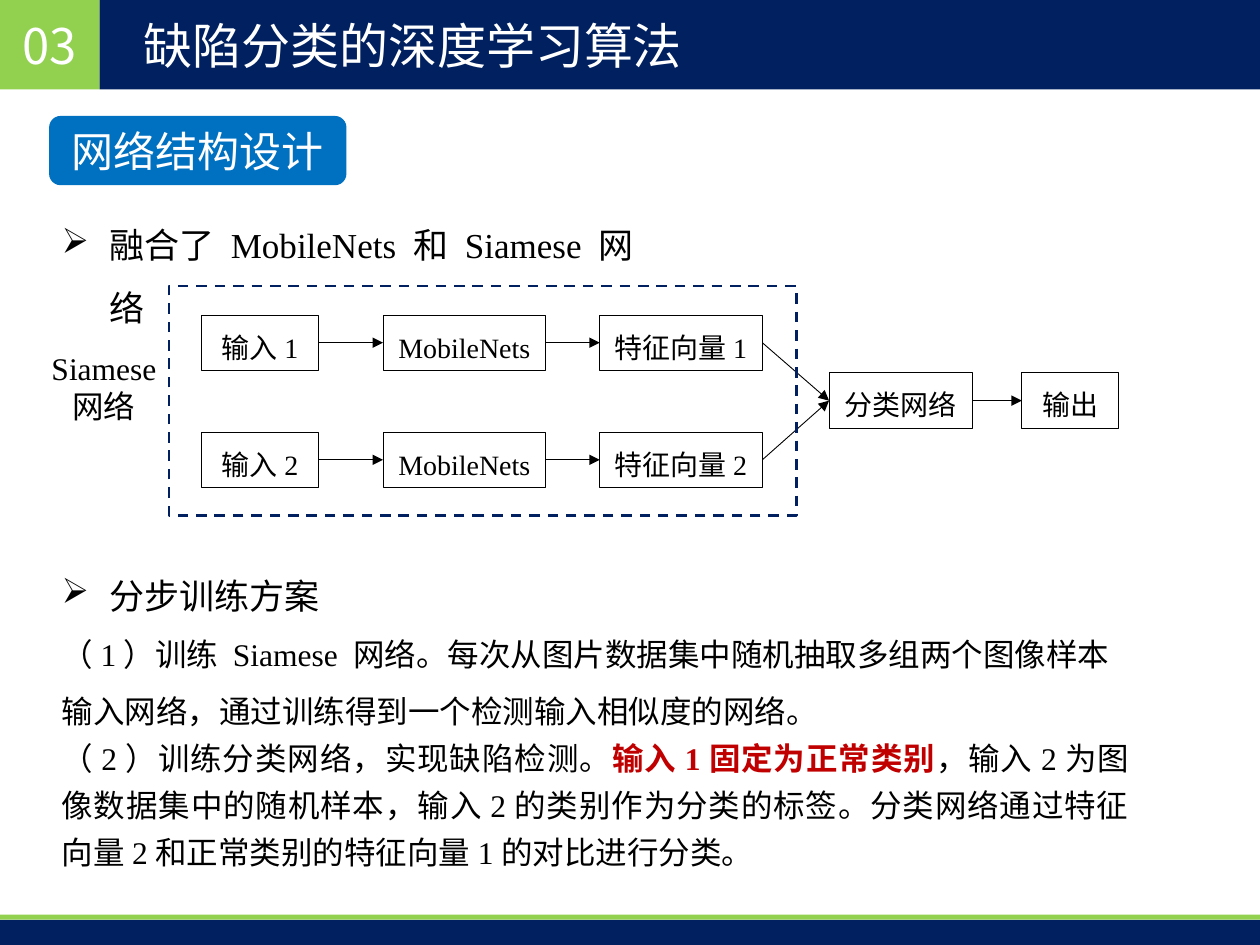
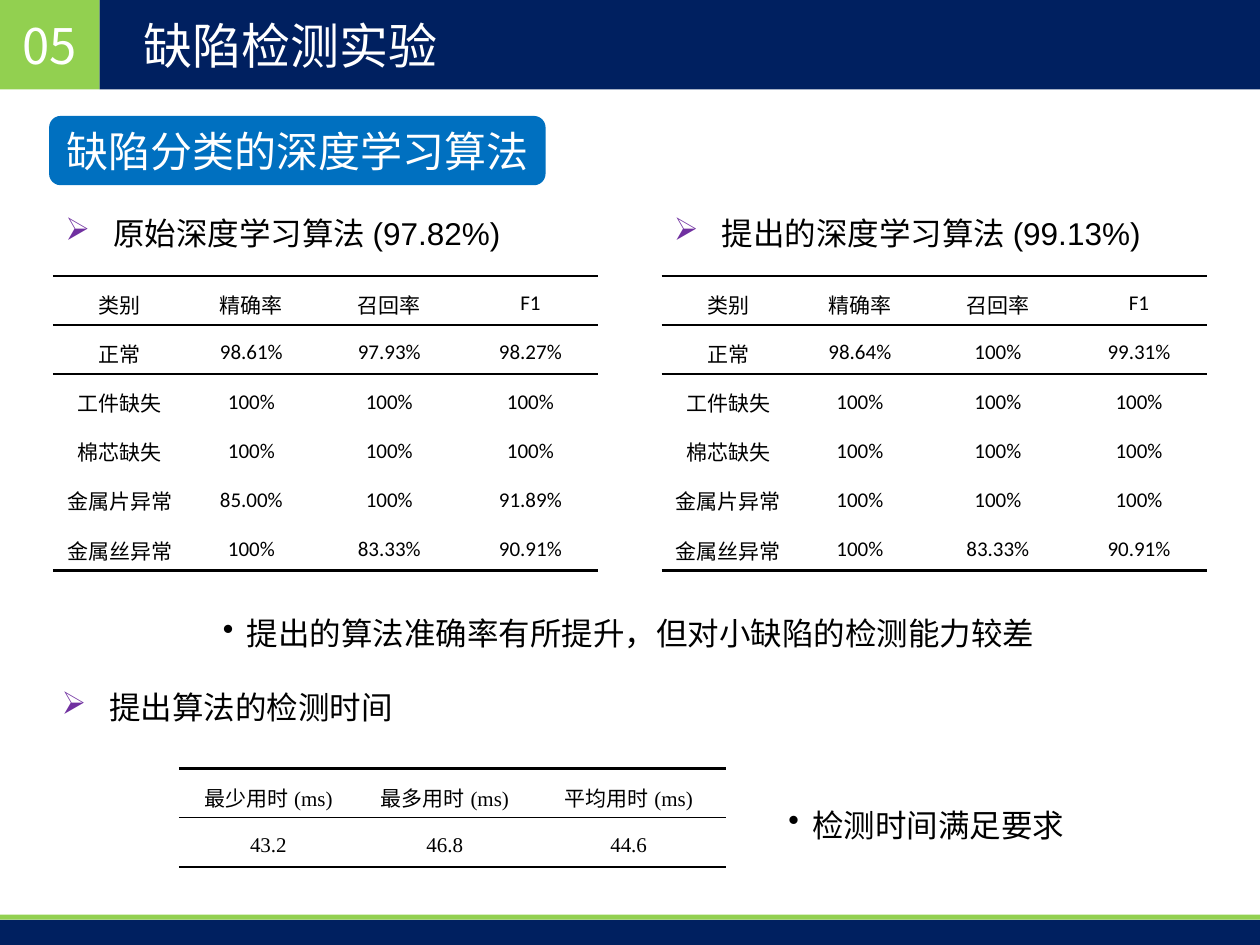
"""Build two slides on deep learning algorithms for defect classification."""
import collections

import lxml.etree
import pptx
import pptx.dml.color
import pptx.enum.dml
import pptx.enum.shapes
import pptx.enum.text
import pptx.oxml.ns
import pptx.util

Inches, Pt, qn = pptx.util.Inches, pptx.util.Pt, pptx.oxml.ns.qn
ALIGN = pptx.enum.text.PP_ALIGN
MIDDLE = pptx.enum.text.MSO_ANCHOR.MIDDLE
SHAPE = pptx.enum.shapes.MSO_SHAPE

COLORS = {
    "navy": "002060",
    "green": "92D050",
    "blue": "0070C0",
    "purple": "7030A0",
    "red": "C00000",
    "black": "000000",
    "white": "FFFFFF",
}
SANS, SERIF, ARIAL, CALIBRI = "Noto Sans CJK SC", "Times New Roman", "Arial", "Calibri"
LEFT_SITE, RIGHT_SITE = 1, 3

Box = collections.namedtuple("Box", "left top width height")

CATEGORIES = ["正常", "工件缺失", "棉芯缺失", "金属片异常", "金属丝异常"]
RESULT_HEAD = ["类别", "精确率", "召回率", "F1"]
RESULT_WIDTHS = [1.06, 1.03, 1.16, 1.08]
RESULT_RULES = {0: 1.5, 1: 1, 2: 1, 6: 1.5}
PERFECT = ["100%"] * 3
WEAK_WIRE = ["100%", "83.33%", "90.91%"]
RESULTS = [
    (0.42, "原始深度学习算法(97.82%)",
     [["98.61%", "97.93%", "98.27%"], PERFECT, PERFECT,
      ["85.00%", "100%", "91.89%"], WEAK_WIRE]),
    (5.25, "提出的深度学习算法(99.13%)",
     [["98.64%", "100%", "99.31%"], PERFECT, PERFECT, PERFECT, WEAK_WIRE]),
]
TIMES = [["最少用时(ms)", "最多用时(ms)", "平均用时(ms)"], ["43.2", "46.8", "44.6"]]


def rgb(name):
    """Return the named colour."""
    return pptx.dml.color.RGBColor.from_string(COLORS[name])


def lengths(box):
    """Return the box as slide lengths."""
    return [Inches(value) for value in box]


def style(para, size, face=SERIF, color="black", align=ALIGN.LEFT, spacing=1.0):
    """Format a whole paragraph."""
    para.alignment = align
    para.line_spacing = spacing
    para.space_before = para.space_after = Pt(0)
    para.font.size = Pt(size)
    para.font.name = face
    para.font.color.rgb = rgb(color)
    defaults = para._p.pPr.find(qn("a:defRPr"))
    lxml.etree.SubElement(defaults, qn("a:ea"), typeface=SANS)


def add_bullet(para, mark, indent, color="black"):
    """Give a paragraph a hanging bullet."""
    props = para._p.get_or_add_pPr()
    props.set("marL", str(Inches(indent)))
    props.set("indent", str(-Inches(indent)))
    tint = lxml.etree.SubElement(props, qn("a:buClr"))
    lxml.etree.SubElement(tint, qn("a:srgbClr"), val=COLORS[color])
    lxml.etree.SubElement(props, qn("a:buChar"), char=mark)


def add_text_frame(page, box):
    """Add a wrapping text box and return its frame."""
    frame = page.shapes.add_textbox(*lengths(box)).text_frame
    frame.word_wrap = True
    return frame


def add_bullet_line(page, box, text, mark, indent, size=18, color="black", **look):
    """Add a text box that holds one bulleted line."""
    para = add_text_frame(page, box).paragraphs[0]
    para.text = text
    add_bullet(para, mark, indent, color)
    style(para, size, **look)


def add_block(page, box, fill=None, line=None, width=0.5, kind=SHAPE.RECTANGLE):
    """Add a plain preset shape."""
    block = page.shapes.add_shape(kind, *lengths(box))
    block.shadow.inherit = False
    if fill:
        block.fill.solid()
        block.fill.fore_color.rgb = rgb(fill)
    else:
        block.fill.background()
    if line:
        block.line.color.rgb = rgb(line)
        block.line.width = Pt(width)
    else:
        block.line.fill.background()
    return block


def label(block, text, size, **look):
    """Write centred text in a shape."""
    frame = block.text_frame
    frame.word_wrap = True
    frame.vertical_anchor = MIDDLE
    frame.paragraphs[0].text = text
    style(frame.paragraphs[0], size, align=ALIGN.CENTER, **look)


def add_page(deck, number, title, topic, topic_width):
    """Add a slide with bands, number, title and topic tag."""
    page = deck.slides.add_slide(deck.slide_layouts[5])
    badge = add_block(page, Box(0, 0, 0.79, 0.71), "green")
    label(badge, number, 28, face=SANS, color="white")
    add_block(page, Box(0.79, 0, 9.21, 0.71), "navy")
    add_block(page, Box(0, 7.3, 10, 0.24), "navy")
    add_block(page, Box(0, 7.26, 10, 0.04), "green")

    heading = page.shapes.title
    page.shapes.element.append(heading.element)
    heading.left, heading.top, heading.width, heading.height = lengths(
        Box(1.04, 0, 8.03, 0.71))
    frame = heading.text_frame
    frame.auto_size = pptx.enum.text.MSO_AUTO_SIZE.NONE
    frame.vertical_anchor = MIDDLE
    frame.text = title
    style(frame.paragraphs[0], 28, SANS, "white")

    tag = add_block(page, Box(0.39, 0.92, topic_width, 0.55), "blue",
                    kind=SHAPE.ROUNDED_RECTANGLE)
    label(tag, topic, 24, color="white")
    return page


def add_arrow(page, source, target):
    """Join the right side of one node to the left side of another."""
    arrow = page.shapes.add_connector(
        pptx.enum.shapes.MSO_CONNECTOR.STRAIGHT, 0, 0, 0, 0)
    arrow.begin_connect(source, RIGHT_SITE)
    arrow.end_connect(target, LEFT_SITE)
    arrow.line.color.rgb = rgb("black")
    arrow.line.width = Pt(0.5)
    lxml.etree.SubElement(arrow.line._get_or_add_ln(), qn("a:tailEnd"), type="triangle")
    lxml.etree.SubElement(arrow.element.spPr, qn("a:effectLst"))


def add_network(page, box):
    """Draw the twin branches in a dashed frame and the classifier beside it."""
    def add_node(text, left, top, width):
        """Add one labelled node."""
        node = add_block(page, Box(box.left + left, box.top + top, width, 0.44),
                         line="black")
        label(node, text, 16, spacing=1.25)
        return node

    classifier = add_node("分类网络", 5.24, 0.69, 1.14)
    add_arrow(page, classifier, add_node("输出", 6.77, 0.69, 0.77))
    for branch, top in enumerate((0.23, 1.16), start=1):
        chain = [
            add_node(f"输入{branch}", 0.26, top, 0.93),
            add_node("MobileNets", 1.7, top, 1.29),
            add_node(f"特征向量{branch}", 3.42, top, 1.29),
            classifier,
        ]
        for source, target in zip(chain, chain[1:]):
            add_arrow(page, source, target)

    border = add_block(page, box, line="navy", width=1.5)
    border.line.dash_style = pptx.enum.dml.MSO_LINE.DASH
    caption = add_text_frame(page, Box(box.left - 1.07, box.top + 0.45, 1.11, 0.71))
    caption.text = "Siamese\n网络"
    for para in caption.paragraphs:
        style(para, 18, align=ALIGN.CENTER)


def add_training_plan(page, box):
    """Write the two training steps."""
    frame = add_text_frame(page, box)
    heading = frame.paragraphs[0]
    heading.text = "分步训练方案"
    add_bullet(heading, "➢", 0.38)
    style(heading, 20, spacing=1.5)

    first_step = frame.add_paragraph()
    first_step.text = ("（1）训练 Siamese 网络。每次从图片数据集中随机抽取多组两个图像样本"
                       "输入网络，通过训练得到一个检测输入相似度的网络。")
    style(first_step, 18, spacing=1.5)

    second_step = frame.add_paragraph()
    style(second_step, 18, align=ALIGN.JUSTIFY, spacing=1.25)
    second_step.add_run().text = "（2）训练分类网络，实现缺陷检测。"
    key_point = second_step.add_run()
    key_point.text = "输入1固定为正常类别"
    key_point.font.bold = True
    key_point.font.color.rgb = rgb("red")
    second_step.add_run().text = (
        "，输入2为图像数据集中的随机样本，输入2的类别作为分类的标签。"
        "分类网络通过特征向量2和正常类别的特征向量1的对比进行分类。")


def set_borders(cell, top, bottom):
    """Rule a cell above and below, with no line where the width is missing."""
    props = cell._tc.get_or_add_tcPr()
    sides = {"lnL": None, "lnR": None, "lnT": top, "lnB": bottom}
    for place, (side, width) in enumerate(sides.items()):
        line = lxml.etree.Element(qn(f"a:{side}"))
        props.insert(place, line)
        if width:
            line.set("w", str(Pt(width)))
            fill = lxml.etree.SubElement(line, qn("a:solidFill"))
            lxml.etree.SubElement(fill, qn("a:srgbClr"), val=COLORS["black"])
        else:
            lxml.etree.SubElement(line, qn("a:noFill"))


def add_ruled_table(page, left, top, widths, rows, rules, face):
    """Add a table with horizontal rules only."""
    row_height = 0.39
    box = Box(left, top, sum(widths), row_height * len(rows))
    table = page.shapes.add_table(len(rows), len(widths), *lengths(box)).table
    table.first_row = table.horz_banding = False
    for column, width in zip(table.columns, widths):
        column.width = Inches(width)
    for row_index, values in enumerate(rows):
        table.rows[row_index].height = Inches(row_height)
        for column_index, value in enumerate(values):
            cell = table.cell(row_index, column_index)
            cell.margin_left = cell.margin_right = Inches(0.07)
            cell.margin_top = cell.margin_bottom = 0
            cell.vertical_anchor = MIDDLE
            cell.fill.background()
            set_borders(cell, rules.get(row_index), rules.get(row_index + 1))
            para = cell.text_frame.paragraphs[0]
            para.text = value
            style(para, 12, face, align=ALIGN.CENTER, spacing=1.25)


def add_section(page, left, top, width, text):
    """Add a section line with a purple arrow bullet."""
    add_bullet_line(page, Box(left, top, width, 0.4), text, "➢", 0.38,
                    color="purple", face=ARIAL)


def add_finding(page, left, top, width, text):
    """Add a conclusion with a round bullet."""
    add_bullet_line(page, Box(left, top, width, 0.44), text, "•", 0.19,
                    align=ALIGN.JUSTIFY, spacing=1.25)


def build_network_page(deck):
    """Build the slide on network structure."""
    page = add_page(deck, "03", "缺陷分类的深度学习算法", "网络结构设计", 2.36)
    add_bullet_line(page, Box(0.39, 1.56, 4.8, 0.54),
                    "融合了 MobileNets 和 Siamese 网络", "➢", 0.38, size=20, spacing=1.5)
    add_network(page, Box(1.34, 2.27, 4.98, 1.82))
    add_training_plan(page, Box(0.39, 4.34, 8.67, 2.61))


def build_results_page(deck):
    """Build the slide on detection results."""
    page = add_page(deck, "05", "缺陷检测实验", "缺陷分类的深度学习算法", 3.94)
    for left, heading, scores in RESULTS:
        add_section(page, left, 1.65, 4.33, heading)
        rows = [RESULT_HEAD] + [[name] + row for name, row in zip(CATEGORIES, scores)]
        add_ruled_table(page, left, 2.19, RESULT_WIDTHS, rows, RESULT_RULES, CALIBRI)
    add_finding(page, 1.67, 4.75, 6.65, "提出的算法准确率有所提升，但对小缺陷的检测能力较差")
    add_section(page, 0.39, 5.41, 3.19, "提出算法的检测时间")
    add_ruled_table(page, 1.42, 6.1, [1.42, 1.38, 1.54], TIMES,
                    {0: 1.5, 1: 1, 2: 1}, SERIF)
    add_finding(page, 6.16, 6.27, 2.5, "检测时间满足要求")


def main():
    """Build and save the deck."""
    deck = pptx.Presentation()
    deck.slide_width, deck.slide_height = Inches(10), Inches(7.5)
    build_network_page(deck)
    build_results_page(deck)
    deck.save("out.pptx")


if __name__ == "__main__":
    main()
